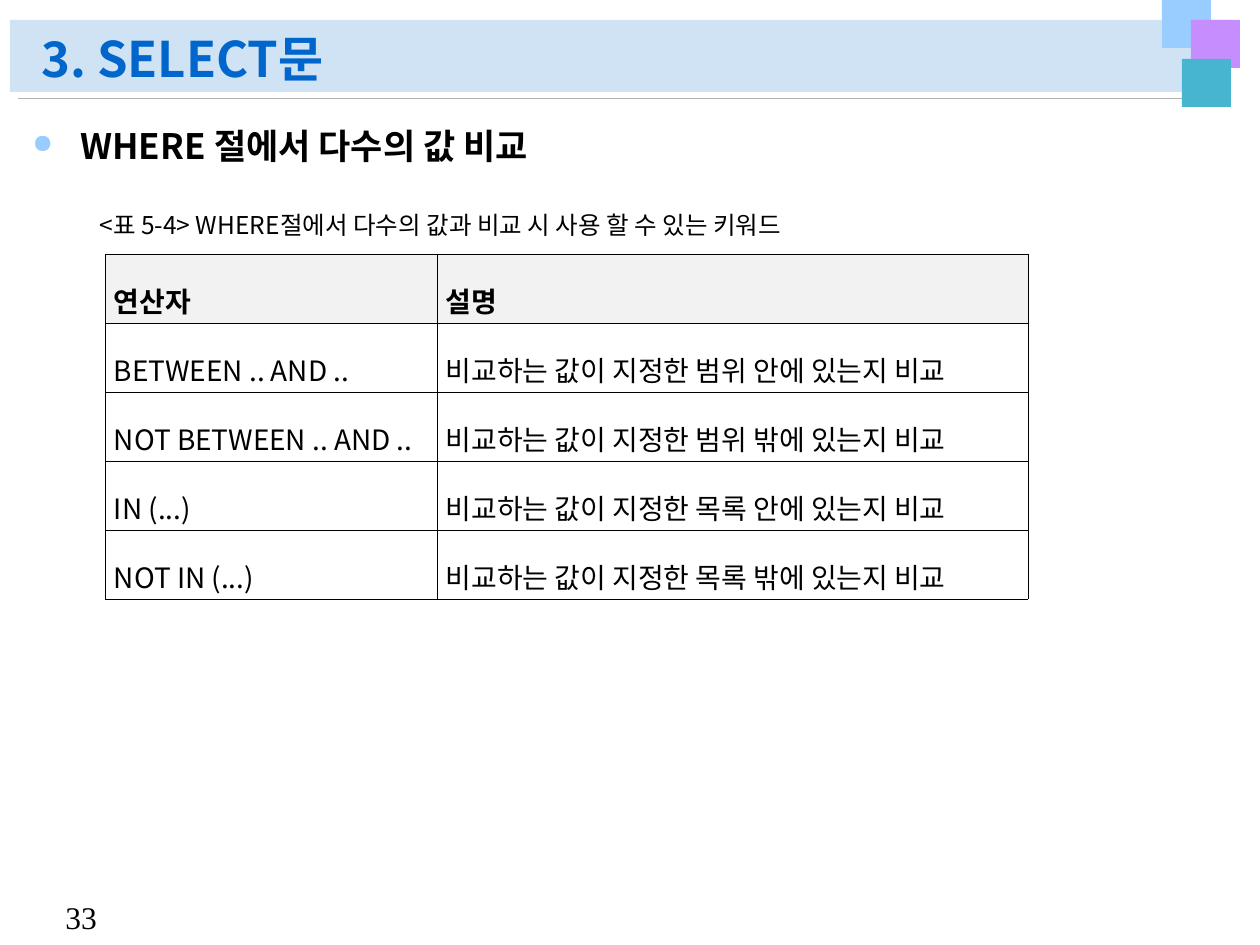
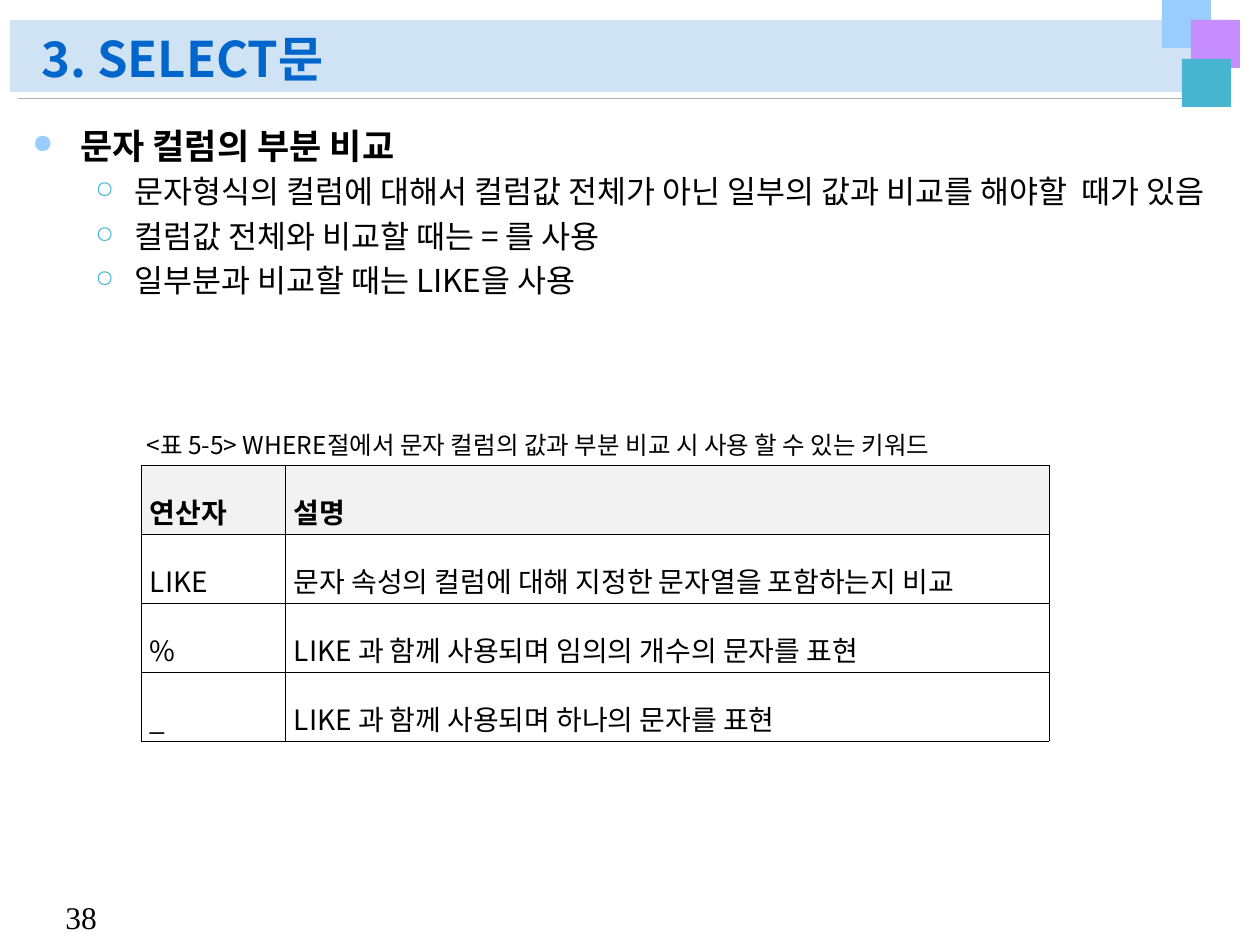
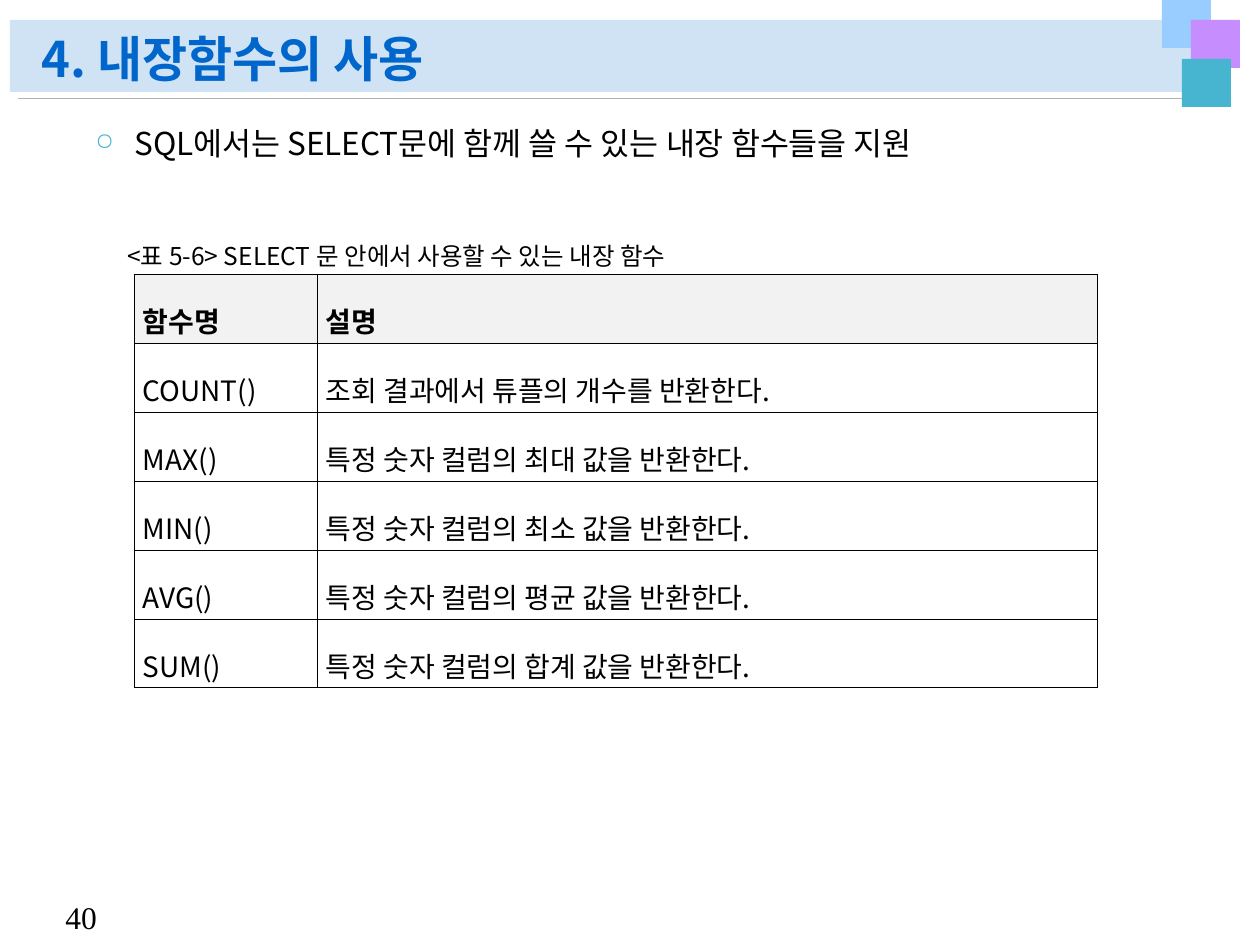
import dataclasses

import pptx
import pptx.dml.color
import pptx.enum.shapes
import pptx.enum.text
import pptx.oxml.ns
import pptx.oxml.xmlchemy
import pptx.util
import lxml.etree

ALIGN = pptx.enum.text.PP_ALIGN
ANCHOR = pptx.enum.text.MSO_ANCHOR
FIT = pptx.enum.text.MSO_AUTO_SIZE
RECT = pptx.enum.shapes.MSO_SHAPE.RECTANGLE
LINE = pptx.enum.shapes.MSO_CONNECTOR.STRAIGHT
qn = pptx.oxml.ns.qn


@dataclasses.dataclass(frozen=True)
class Theme:
    ink: str = "000000"
    title: str = "0066CC"
    band: str = "D0E3F5"
    rule: str = "B2B2B2"
    sky: str = "99CCFF"
    lilac: str = "C68DFF"
    teal: str = "47B5CF"
    head: str = "F2F2F2"
    sans: str = "Noto Sans CJK KR"
    serif: str = "Times New Roman"
    big: int = 28
    lead: int = 20
    body: int = 18
    cell: int = 16
    note: int = 14


T = Theme()
SCALE = 914400 / 126
SIZE = (1260, 945)

# Bullet levels: bold flag, type size, mark, mark colour, margin, hang
LEVELS = [
    (True, T.lead, "●", T.sky, 48, 48),
    (False, T.body, "○", T.teal, 102, 39),
]


def px(n):
    return round(n * SCALE)


def box_px(box):
    return [px(n) for n in box]


def rgb(code):
    return pptx.dml.color.RGBColor.from_string(code)


def apply(item, vals):
    for key, val in vals.items():
        setattr(item, key, val)


def add(node, tag, **attrs):
    return lxml.etree.SubElement(node, qn(tag), attrs)


def write(para, text, size, color=T.ink, face=T.sans, bold=False, **form):
    """Put one styled run in a paragraph; form holds paragraph values."""
    apply(para, form)
    run = para.add_run()
    run.text = text
    apply(run.font, {"size": pptx.util.Pt(size), "bold": bold, "name": face})
    run.font.color.rgb = rgb(color)
    add(run.font._element, "a:ea", typeface=face)


def frame(slide, box, **form):
    """Add a text box and give back its text frame."""
    text = slide.shapes.add_textbox(*box_px(box)).text_frame
    apply(text, {"word_wrap": True, "auto_size": FIT.NONE, **form})
    return text


def block(slide, box, color):
    shape = slide.shapes.add_shape(RECT, *box_px(box))
    shape.shadow.inherit = False
    shape.fill.solid()
    shape.fill.fore_color.rgb = rgb(color)
    shape.line.fill.background()


def header(slide, box, title):
    """Title band, rule, corner squares and title."""
    left, top, width, height = box
    block(slide, box, T.band)
    # Rule below the band
    y = px(top + height + 6)
    rule = slide.shapes.add_connector(LINE, px(left + width - 4), y, px(left + 8), y)
    rule.line.color.rgb = rgb(T.rule)
    rule.line.width = pptx.util.Pt(0.5)
    add(rule._element.spPr, "a:effectLst")
    # Corner squares
    for x, y, color in ((1152, -20, T.sky), (1181, 0, T.lilac), (1172, 39, T.teal)):
        block(slide, (left + x, top + y, 49, 48), color)
    # Title
    text = frame(slide, (left + 19, top + 1, 1131, 73), vertical_anchor=ANCHOR.BOTTOM)
    write(text.paragraphs[0], title, T.big, T.title, bold=True, line_spacing=0.9)


def footer(slide, box, page):
    text = frame(slide, box, word_wrap=False, auto_size=FIT.SHAPE_TO_FIT_TEXT)
    write(text.paragraphs[0], page, T.body, face=T.serif)


def outline(slide, box, items):
    """Bulleted text from (level, text) pairs."""
    text = frame(slide, box)
    for i, (level, words) in enumerate(items):
        bold, size, mark, color, margin, hang = LEVELS[level]
        para = text.add_paragraph() if i else text.paragraphs[0]
        write(para, words, size, bold=bold, level=level,
              space_before=pptx.util.Pt(size * 0.2))
        props = para._element.get_or_add_pPr()
        props.set("marL", str(px(margin)))
        props.set("indent", str(-px(hang)))
        add(add(props, "a:buClr"), "a:srgbClr", val=color)
        add(props, "a:buSzPct", val="75000")
        add(props, "a:buChar", char=mark)


def caption(slide, box, words, wrap=True):
    text = frame(slide, box, word_wrap=wrap, auto_size=FIT.SHAPE_TO_FIT_TEXT)
    form = {"alignment": ALIGN.JUSTIFY, "line_spacing": 1.6} if wrap else {}
    write(text.paragraphs[0], words, T.note, **form)


def border(cell):
    props = cell._tc.get_or_add_tcPr()
    for i, side in enumerate(("a:lnL", "a:lnR", "a:lnT", "a:lnB")):
        line = lxml.etree.Element(qn(side), w=str(pptx.util.Pt(0.28)))
        add(add(line, "a:solidFill"), "a:srgbClr", val=T.ink)
        props.insert(i, line)


def grid(slide, box, split, rows):
    """Two-column table; split is the width of the first column."""
    left, top, width, high = box
    place = box_px((left, top, width, high * len(rows)))
    table = slide.shapes.add_table(len(rows), 2, *place).table
    apply(table, {"first_row": False, "horz_banding": False})
    for col, wide in zip(table.columns, (split, width - split)):
        col.width = px(wide)
    for r, row in enumerate(rows):
        table.rows[r].height = px(high)
        for c, words in enumerate(row):
            cell = table.cell(r, c)
            apply(cell, {"margin_left": px(9), "margin_right": px(9),
                         "margin_top": px(2), "margin_bottom": px(2),
                         "vertical_anchor": ANCHOR.MIDDLE})
            if r:
                cell.fill.background()
            else:
                cell.fill.solid()
                cell.fill.fore_color.rgb = rgb(T.head)
            border(cell)
            write(cell.text_frame.paragraphs[0], words, T.cell, bold=r == 0,
                  alignment=ALIGN.JUSTIFY, line_spacing=1.6)


def page(deck, num, title, items, note, table):
    slide = deck.slides.add_slide(deck.slide_layouts[6])
    header(slide, (10, 20, 1221, 72), title)
    footer(slide, (53, 892, 63, 50), num)
    outline(slide, (20, 118, 1211, 759), items)
    grid(slide, *table)
    caption(slide, *note)


deck = pptx.Presentation()
apply(deck, {"slide_width": px(SIZE[0]), "slide_height": px(SIZE[1])})

# Comparing with many values
scope = [(f"{neg}{key}", f"비교하는 값이 지정한 {area} {side}에 있는지 비교")
         for key, area in (("BETWEEN .. AND ..", "범위"), ("IN (...)", "목록"))
         for neg, side in (("", "안"), ("NOT ", "밖"))]
page(deck, "33", "3. SELECT문",
     [(0, "WHERE 절에서 다수의 값 비교")],
     ((87, 204, 794, 43), "<표 5-4> WHERE절에서 다수의 값과 비교 시 사용 할 수 있는 키워드", False),
     ((105, 254, 923, 69), 332, [("연산자", "설명")] + scope))

# Comparing part of a text column
page(deck, "38", "3. SELECT문",
     [(0, "문자 컬럼의 부분 비교"),
      (1, "문자형식의 컬럼에 대해서 컬럼값 전체가 아닌 일부의 값과 비교를 해야할  때가 있음"),
      (1, "컬럼값 전체와 비교할 때는 = 를 사용"),
      (1, "일부분과 비교할 때는 LIKE을 사용")],
     ((134, 406, 963, 54), "<표 5-5> WHERE절에서 문자 컬럼의 값과 부분 비교 시 사용 할 수 있는 키워드"),
     ((141, 465, 908, 69), 144,
      [("연산자", "설명"),
       ("LIKE", "문자 속성의 컬럼에 대해 지정한 문자열을 포함하는지 비교"),
       ("%", "LIKE 과 함께 사용되며 임의의 개수의 문자를 표현"),
       ("_", "LIKE 과 함께 사용되며 하나의 문자를 표현")]))

# Built-in functions
sums = [(f"{name}()", f"특정 숫자 컬럼의 {kind} 값을 반환한다.")
        for name, kind in (("MAX", "최대"), ("MIN", "최소"), ("AVG", "평균"), ("SUM", "합계"))]
page(deck, "40", "4. 내장함수의 사용",
     [(1, "SQL에서는 SELECT문에 함께 쓸 수 있는 내장 함수들을 지원")],
     ((115, 217, 630, 54), "<표 5-6> SELECT 문 안에서 사용할 수 있는 내장 함수"),
     ((134, 274, 963, 69), 183,
      [("함수명", "설명"), ("COUNT()", "조회 결과에서 튜플의 개수를 반환한다.")] + sums))

deck.save("out.pptx")
